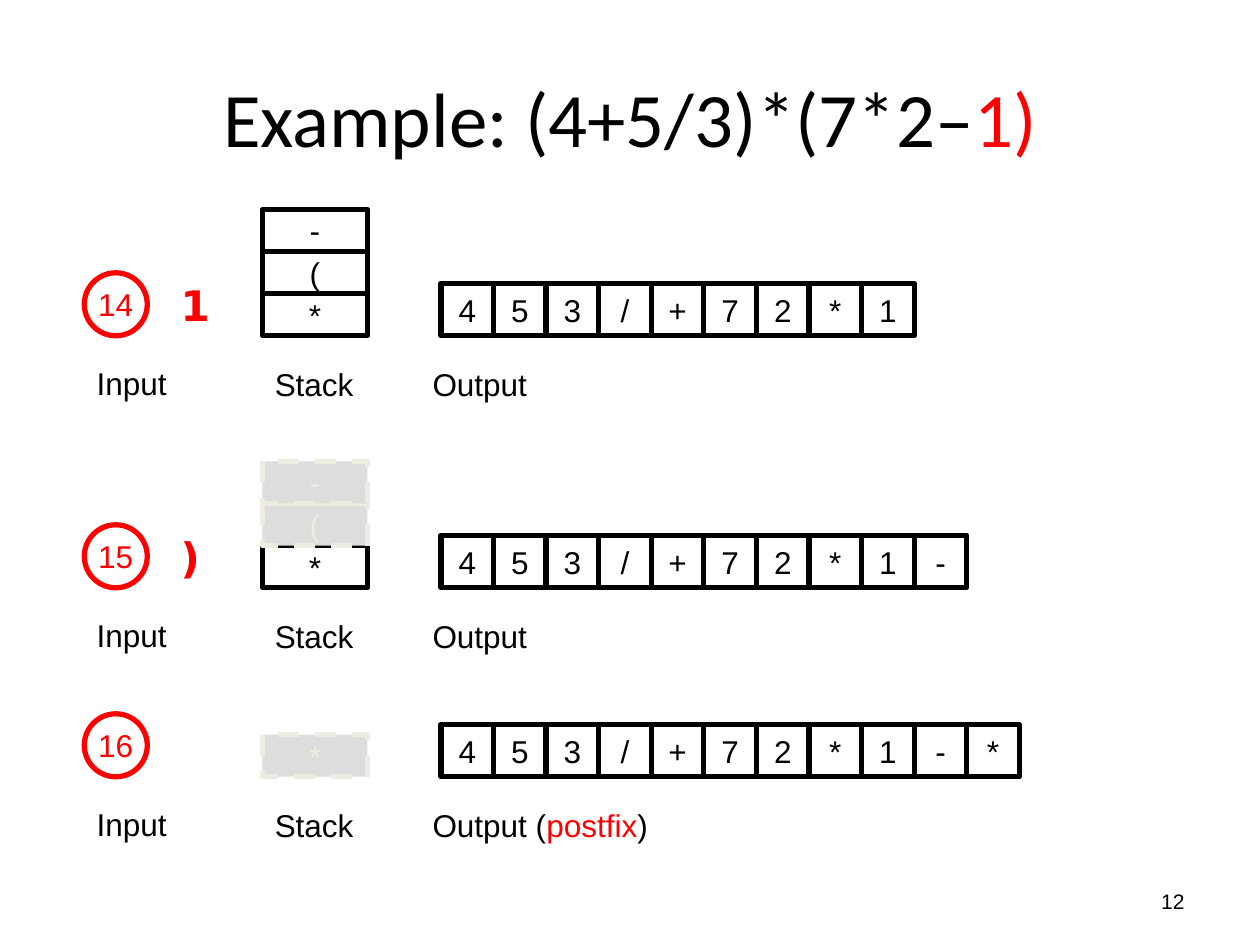
from pptx import Presentation
from pptx import util as u
from pptx.dml.color import RGBColor
from pptx.enum import dml, shapes, text

BLACK = RGBColor(0x00, 0x00, 0x00)
WHITE = RGBColor(0xFF, 0xFF, 0xFF)
RED = RGBColor(0xFF, 0x00, 0x00)
GREY = RGBColor(0xDD, 0xDD, 0xDD)
CREAM = RGBColor(0xEE, 0xEC, 0xE1)

CELL_SIZE = u.Cm(1.06)
STACK_WIDTH, STACK_HEIGHT = u.Cm(2.12), u.Cm(0.85)
CIRCLE_SIZE = u.Cm(1.27)
LABEL_HEIGHT = u.Cm(1.02)
STEP_LEFT, STEP_WIDTH = u.Cm(1.7), u.Cm(18.88)


def write_runs(paragraph, pieces, size, font_name="Arial", bold=None):
    """Add coloured (wording, colour) runs to a paragraph."""
    for wording, color in pieces:
        run = paragraph.add_run()
        run.text = wording
        font = run.font
        font.name, font.size, font.bold = font_name, u.Pt(size), bold
        font.color.rgb = color


def add_label(slide, box, pieces, size=18, font_name="Arial", bold=None):
    """Place a wrapping text box and return it."""
    label = slide.shapes.add_textbox(*box)
    frame = label.text_frame
    frame.word_wrap = True
    frame.auto_size = text.MSO_AUTO_SIZE.SHAPE_TO_FIT_TEXT
    write_runs(frame.paragraphs[0], pieces, size, font_name, bold)
    return label


def add_symbol(slide, kind, box, wording, color=BLACK, fill=WHITE):
    """Place an outlined shape with one centred symbol and return it."""
    shape = slide.shapes.add_shape(kind, *box)
    shape.shadow.inherit = False
    shape.fill.solid()
    shape.fill.fore_color.rgb = fill
    shape.line.color.rgb = color
    shape.line.width = u.Pt(3)
    frame = shape.text_frame
    frame.word_wrap = False
    frame.vertical_anchor = text.MSO_ANCHOR.MIDDLE
    paragraph = frame.paragraphs[0]
    paragraph.alignment = text.PP_ALIGN.CENTER
    write_runs(paragraph, [(wording, color)], 18)
    return shape


def add_input(slide, box, number, token):
    """Place the numbered circle, the token read and the caption."""
    left, top, width, height = box
    circle_top = top + height - CIRCLE_SIZE
    add_symbol(slide, shapes.MSO_SHAPE.OVAL,
               (left, circle_top, CIRCLE_SIZE, CIRCLE_SIZE), str(number), RED)
    if token:
        add_label(slide, (left + u.Cm(1.69), circle_top, u.Cm(1.06), CIRCLE_SIZE),
                  [(token, RED)], 24, "DejaVu Sans", True)
    add_label(slide, (left, top + height + u.Cm(0.45), width, LABEL_HEIGHT),
              [("Input", BLACK)])


def add_stack(slide, box, kept, popped):
    """Pile kept and popped operators upwards from the bottom of the box."""
    left, top, width, height = box
    bottom = top + height
    for level, operator in enumerate(kept + popped, start=1):
        is_popped = level > len(kept)
        color, fill = (CREAM, GREY) if is_popped else (BLACK, WHITE)
        shape = add_symbol(slide, shapes.MSO_SHAPE.RECTANGLE,
                           (left, bottom - level * STACK_HEIGHT, STACK_WIDTH, STACK_HEIGHT),
                           operator, color, fill)
        if is_popped:
            shape.line.dash_style = dml.MSO_LINE.DASH
    add_label(slide, (left, bottom + u.Cm(0.46), width, LABEL_HEIGHT),
              [("Stack", BLACK)])


def add_output(slide, box, symbols, caption):
    """Place the row of output cells and the caption."""
    left, top, width, height = box
    bottom = top + height
    for column, symbol in enumerate(symbols):
        add_symbol(slide, shapes.MSO_SHAPE.RECTANGLE,
                   (left + column * CELL_SIZE, bottom - CELL_SIZE, CELL_SIZE, CELL_SIZE),
                   symbol)
    add_label(slide, (left - u.Cm(0.42), bottom + u.Cm(0.46), width, LABEL_HEIGHT), caption)


def add_step(slide, box, number, token, kept, popped, output, caption):
    """Place one conversion step: input, stack and output side by side."""
    left, top, width, height = box
    add_input(slide, (left, top, u.Cm(2.54), height), number, token)
    add_stack(slide, (left + u.Cm(3.59), top, u.Cm(2.54), height), kept, popped)
    output_offset = u.Cm(7.19)
    add_output(slide, (left + output_offset, top, width - output_offset, height),
               output, caption)


def add_title(slide, box):
    """Move the title placeholder and write the expression."""
    title = slide.shapes.title
    title.left, title.top, title.width, title.height = box
    title.text_frame.vertical_anchor = text.MSO_ANCHOR.MIDDLE
    paragraph = title.text_frame.paragraphs[0]
    paragraph.alignment = text.PP_ALIGN.CENTER
    write_runs(paragraph, [("Example: (4+5/3)*(7*2–", BLACK), ("1)", RED)], 44, "Calibri")


def add_page_number(slide, box, number):
    """Place the page number at the right of its box."""
    label = add_label(slide, box, [(str(number), BLACK)], 12)
    label.text_frame.auto_size = text.MSO_AUTO_SIZE.NONE
    label.text_frame.vertical_anchor = text.MSO_ANCHOR.MIDDLE
    label.text_frame.paragraphs[0].alignment = text.PP_ALIGN.RIGHT


def main():
    """Build and save the slide."""
    presentation = Presentation()
    presentation.slide_width, presentation.slide_height = u.Cm(25.4), u.Cm(19.05)
    slide = presentation.slides.add_slide(presentation.slide_layouts[5])
    add_title(slide, (u.Cm(1.27), u.Cm(0.76), u.Cm(22.86), u.Cm(3.18)))

    output = [("Output", BLACK)]
    postfix = [("Output (", BLACK), ("postfix", RED), (")", BLACK)]
    steps = [
        (4.23, 2.54, 14, "1", "*(-", "", "453/+72*1", output),
        (9.31, 2.54, 15, ")", "*", "(-", "453/+72*1-", output),
        (14.39, 1.27, 16, "", "", "*", "453/+72*1-*", postfix),
    ]
    for top, height, *details in steps:
        add_step(slide, (STEP_LEFT, u.Cm(top), STEP_WIDTH, u.Cm(height)), *details)

    add_page_number(slide, (u.Cm(18.2), u.Cm(17.66), u.Cm(5.93), u.Cm(1.02)), 12)
    presentation.save("out.pptx")


if __name__ == "__main__":
    main()
